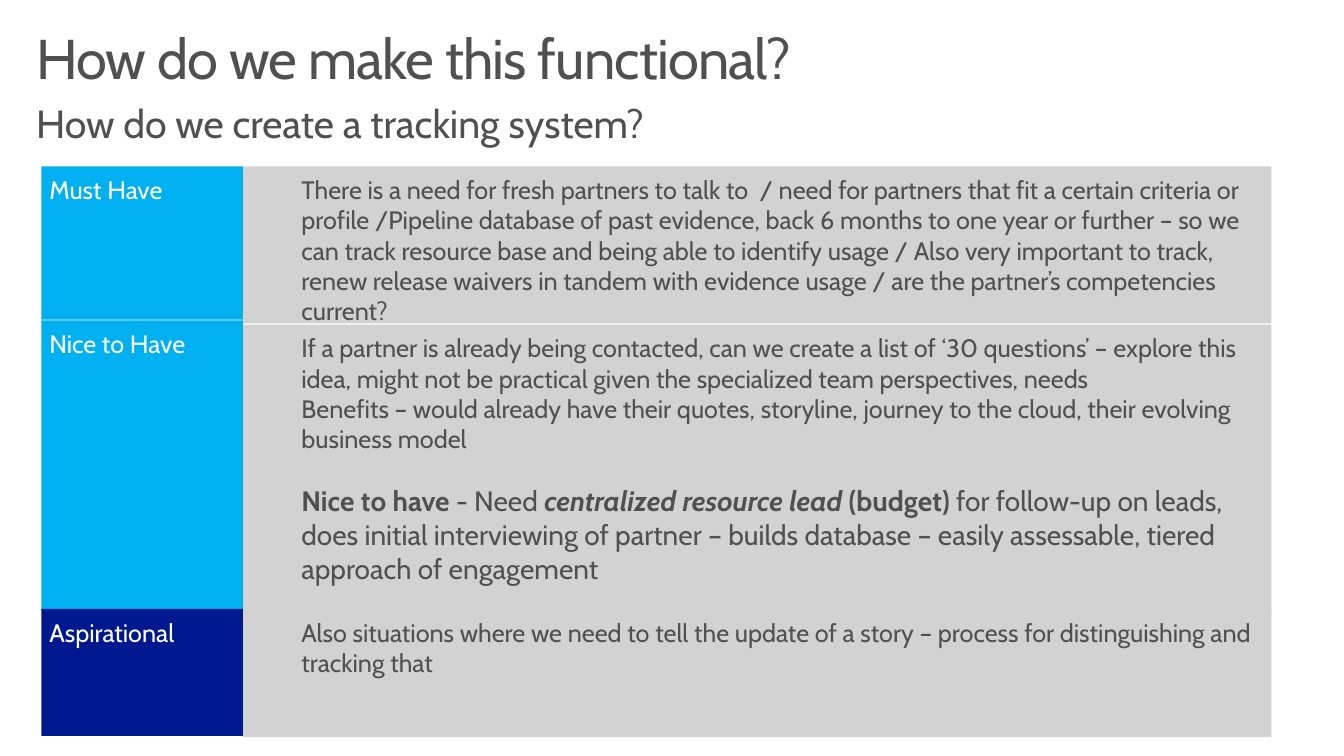
from dataclasses import dataclass

from pptx import Presentation
from pptx.dml.color import RGBColor
from pptx.enum.shapes import MSO_SHAPE
from pptx.enum.text import MSO_ANCHOR, PP_ALIGN
from pptx.shapes.autoshape import Shape
from pptx.slide import Slide
from pptx.text.text import TextFrame, _Paragraph as Paragraph, _Run as Run
from pptx.util import Emu, Pt

EMU_PER_PX = 9144  # 100 px to the inch
FONT = "Cabin"
TEXT_GREY = RGBColor(0x50, 0x50, 0x50)
PANEL_GREY = RGBColor(0xD2, 0xD2, 0xD2)
SKY_BLUE = RGBColor(0x00, 0xB0, 0xF0)
NAVY = RGBColor(0x00, 0x18, 0x8F)
WHITE = RGBColor(0xFF, 0xFF, 0xFF)

LABEL_LEFT, LABEL_WIDTH = 41, 200
DETAIL_LEFT, DETAIL_WIDTH = LABEL_LEFT + LABEL_WIDTH, 1020
INSET, DETAIL_INDENT = 8, 50


@dataclass(frozen=True)
class Span:
    text: str
    size: int = 18
    bold: bool = False
    italic: bool = False


@dataclass(frozen=True)
class Block:
    spans: tuple[Span, ...]
    space_before: float = 0


@dataclass(frozen=True)
class Priority:
    name: str
    fill: RGBColor
    label_top: int
    label_height: int
    detail_top: int
    detail_height: int
    blocks: tuple[Block, ...]


PRIORITIES = (
    Priority("Must Have", SKY_BLUE, 165, 152, 165, 156, (
        Block((Span(
            "There is a need for fresh partners to talk to  / need for partners that fit a "
            "certain criteria or profile /Pipeline database of past evidence, back 6 months to "
            "one year or further – so we can track resource base and being able to identify "
            "usage / Also very important to track, renew release waivers in tandem with "
            "evidence usage / are the partner’s competencies current?"),)),
    )),
    Priority("Nice to Have", SKY_BLUE, 318, 287, 322, 287, (
        Block((Span(
            "If a partner is already being contacted, can we create a list of ‘30 questions’ – "
            "explore this idea, might not be practical given the specialized team "
            "perspectives, needs"),)),
        Block((Span(
            "Benefits – would already have their quotes, storyline, journey to the cloud, "
            "their evolving business model"),)),
        Block((
            Span("Nice to have", 20, bold=True),
            Span(" - Need ", 20),
            Span("centralized resource lead ", 20, bold=True, italic=True),
            Span("(budget)", 20, bold=True),
            Span(" for follow-up on leads, does initial interviewing of partner – builds "
                 "database – easily assessable, tiered approach of engagement", 20),
        ), space_before=21.6),
    )),
    Priority("Aspirational", NAVY, 604, 126, 604, 127, (
        Block((Span(
            "Also situations where we need to tell the update of a story – process for "
            "distinguishing and tracking that"),)),
    )),
)


def px(length: int) -> Emu:
    return Emu(length * EMU_PER_PX)


def add_span(paragraph: Paragraph, span: Span, color: RGBColor) -> Run:
    run = paragraph.add_run()
    run.text = span.text
    font = run.font
    font.name, font.size = FONT, Pt(span.size)
    font.bold, font.italic = span.bold, span.italic
    font.color.rgb = color
    return run


def fill_text(frame: TextFrame, blocks: tuple[Block, ...], color: RGBColor) -> None:
    for index, block in enumerate(blocks):
        paragraph = frame.add_paragraph() if index else frame.paragraphs[0]
        paragraph.alignment = PP_ALIGN.LEFT
        paragraph.space_before = Pt(block.space_before)
        for span in block.spans:
            add_span(paragraph, span, color)


def add_panel(slide: Slide, left: int, top: int, width: int, height: int,
              fill: RGBColor, indent: int = 0) -> Shape:
    panel = slide.shapes.add_shape(
        MSO_SHAPE.RECTANGLE, px(left), px(top), px(width), px(height))
    panel.shadow.inherit = False
    panel.fill.solid()
    panel.fill.fore_color.rgb = fill
    panel.line.fill.background()
    frame = panel.text_frame
    frame.word_wrap = True
    frame.vertical_anchor = MSO_ANCHOR.TOP
    frame.margin_left = px(INSET + indent)
    frame.margin_top = frame.margin_right = frame.margin_bottom = px(INSET)
    return panel


def add_priority(slide: Slide, priority: Priority) -> None:
    detail = add_panel(slide, DETAIL_LEFT, priority.detail_top, DETAIL_WIDTH,
                       priority.detail_height, PANEL_GREY, DETAIL_INDENT)
    fill_text(detail.text_frame, priority.blocks, TEXT_GREY)
    label = add_panel(slide, LABEL_LEFT, priority.label_top, LABEL_WIDTH,
                      priority.label_height, priority.fill)
    fill_text(label.text_frame, (Block((Span(priority.name),)),), WHITE)


def add_heading(slide: Slide, text: str, size: int, top: int, height: int,
                anchor: MSO_ANCHOR) -> Run:
    box = slide.shapes.add_textbox(px(26), px(top), px(1282), px(height))
    frame = box.text_frame
    frame.word_wrap = True
    frame.vertical_anchor = anchor
    return add_span(frame.paragraphs[0], Span(text, size), TEXT_GREY)


def main() -> None:
    presentation = Presentation()
    presentation.slide_width, presentation.slide_height = px(1333), px(750)
    slide = presentation.slides.add_slide(presentation.slide_layouts[6])

    title = add_heading(slide, "How do we make this functional?", 40, 24, 71,
                        MSO_ANCHOR.BOTTOM)
    title._r.get_or_add_rPr().set("spc", "-60")
    add_heading(slide, "How do we create a tracking system?", 28, 94, 55, MSO_ANCHOR.TOP)
    for priority in PRIORITIES:
        add_priority(slide, priority)

    presentation.save("out.pptx")


if __name__ == "__main__":
    main()
